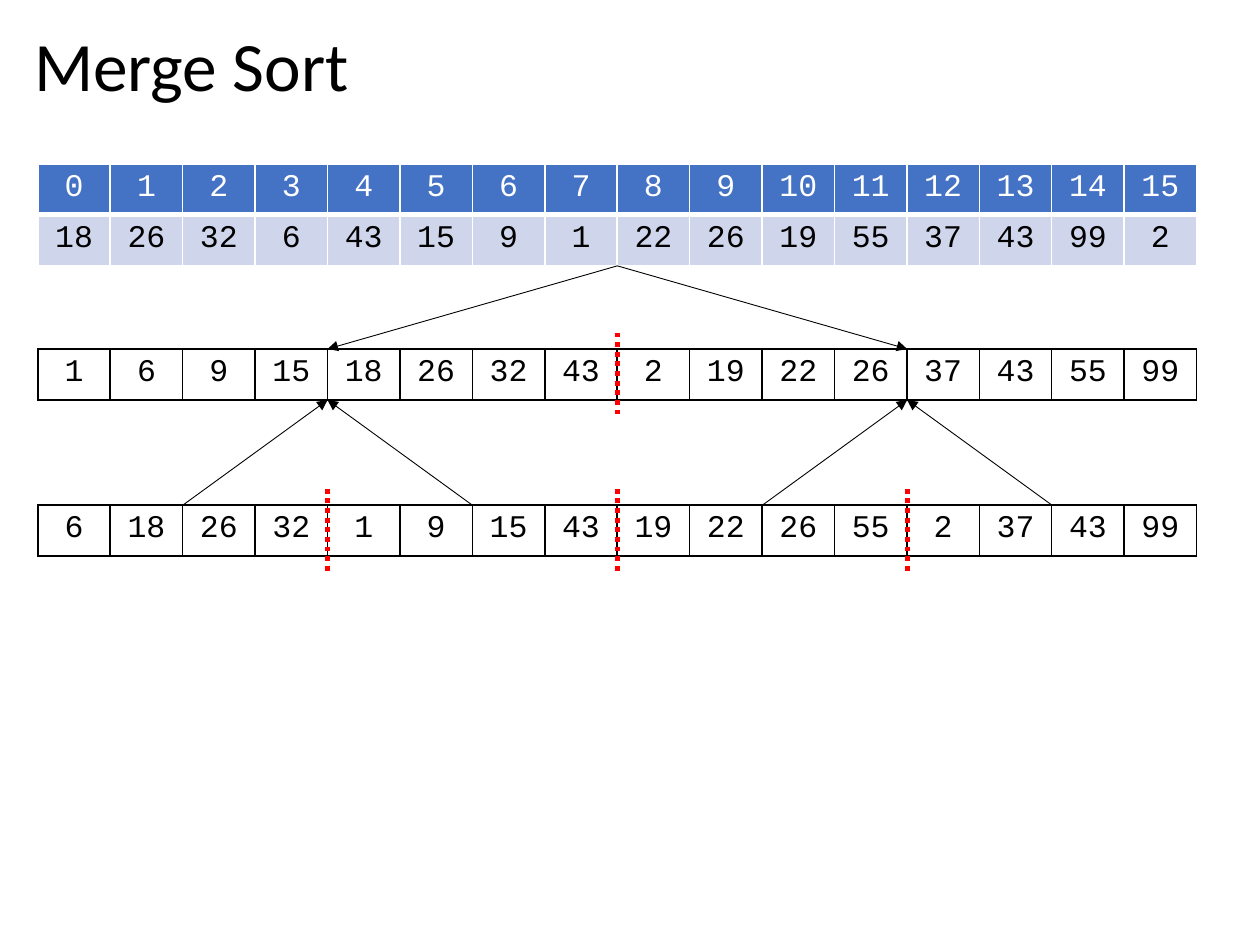
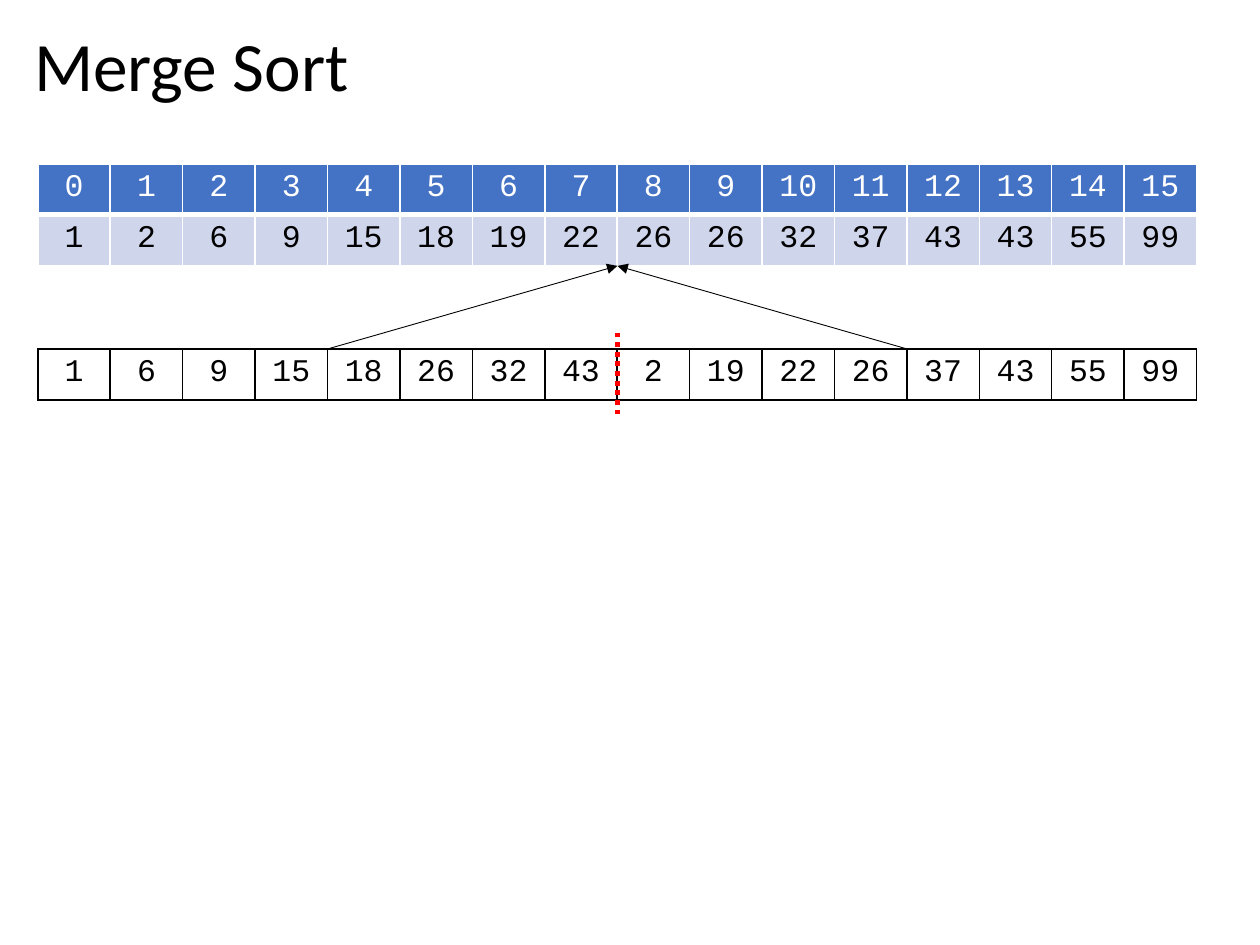
from dataclasses import dataclass

from pptx import Presentation
from pptx.dml.color import RGBColor
from pptx.enum.dml import MSO_LINE
from pptx.enum.shapes import MSO_CONNECTOR
from pptx.enum.text import MSO_ANCHOR, MSO_AUTO_SIZE, PP_ALIGN
from pptx.oxml.ns import qn
from pptx.util import Inches, Pt
from lxml import etree

STRAIGHT = MSO_CONNECTOR.STRAIGHT
DOTTED = MSO_LINE.ROUND_DOT
CENTER, LEFT = PP_ALIGN.CENTER, PP_ALIGN.LEFT
MIDDLE = MSO_ANCHOR.MIDDLE
NO_AUTOFIT = MSO_AUTO_SIZE.NONE
TITLE_ONLY = 5


@dataclass(frozen=True)
class Theme:
    black: str = "000000"
    white: str = "FFFFFF"
    header: str = "4472C4"
    band: str = "CFD5EA"
    split: str = "FF0000"
    title_font: str = "Calibri"
    cell_font: str = "Courier New"
    title_size: float = 39.6
    cell_size: float = 18
    arrow_width: float = 0.5
    split_width: float = 2.75


COLUMNS = 16
GRID_LEFT = 0.3
COL = 9.2 / COLUMNS
ROW = 0.405
TOP = 1.3
LEVEL_TOPS = (2.77, 4.01)
OVERHANG = 0.13

UNSORTED = (18, 26, 32, 6, 43, 15, 9, 1, 22, 26, 19, 55, 37, 43, 99, 2)


def merge_runs(values, size):
    return [v for i in range(0, len(values), size)
            for v in sorted(values[i:i + size])]


class Deck:
    def __init__(self, prs, theme):
        self.prs, self.theme, self.s = prs, theme, None

    def x(self, col):
        return Inches(GRID_LEFT + col * COL)

    def slide(self, title):
        t = self.theme
        self.s = self.prs.slides.add_slide(self.prs.slide_layouts[TITLE_ONLY])
        sp = self.s.shapes.title
        sp.left, sp.top = Inches(0.17), Inches(0.18)
        sp.width, sp.height = Inches(9.62), Inches(0.74)
        tf = sp.text_frame
        tf.text = title
        tf.auto_size, tf.vertical_anchor = NO_AUTOFIT, MIDDLE
        p = tf.paragraphs[0]
        p.alignment, p.line_spacing = LEFT, 0.9
        self.font(p, t.title_font, t.title_size, t.black)

    def font(self, p, name, size, color):
        for r in p.runs:
            r.font.name, r.font.size = name, Pt(size)
            r.font.color.rgb = RGBColor.from_string(color)

    def borders(self, cell, color, bottom):
        tcPr = cell._tc.get_or_add_tcPr()
        for side in "LRTB":
            width = Pt(bottom if side == "B" else 1)
            ln = etree.SubElement(tcPr, qn(f"a:ln{side}"), w=str(width))
            fill = etree.SubElement(ln, qn("a:solidFill"))
            etree.SubElement(fill, qn("a:srgbClr"), val=color)

    def cell(self, cell, value, color, fill, border, bottom=1):
        cell.text = str(value)
        p = cell.text_frame.paragraphs[0]
        p.alignment = CENTER
        self.font(p, self.theme.cell_font, self.theme.cell_size, color)
        self.borders(cell, border, bottom)
        if fill:
            cell.fill.solid()
            cell.fill.fore_color.rgb = RGBColor.from_string(fill)
        else:
            cell.fill.background()

    def table(self, top, rows, styles):
        tbl = self.s.shapes.add_table(
            len(rows), COLUMNS, self.x(0), Inches(top),
            Inches(COL * COLUMNS), Inches(ROW * len(rows))).table
        tbl.first_row = tbl.horz_banding = False
        for i, (values, style) in enumerate(zip(rows, styles)):
            for j, value in enumerate(values):
                self.cell(tbl.cell(i, j), value, *style)

    def indexed_array(self, values):
        t = self.theme
        self.table(TOP, (range(COLUMNS), values),
                   ((t.white, t.header, t.white, 3),
                    (t.black, t.band, t.white)))

    def line(self, start, end, color, width):
        (c1, y1), (c2, y2) = start, end
        cx = self.s.shapes.add_connector(
            STRAIGHT, self.x(c1), Inches(y1), self.x(c2), Inches(y2))
        cx.line.color.rgb = RGBColor.from_string(color)
        cx.line.width = Pt(width)
        etree.SubElement(cx._element.spPr, qn("a:effectLst"))
        return cx.line

    def level(self, top, values, splits):
        t = self.theme
        self.table(top, (values,), ((t.black, None, t.black),))
        for col in splits:
            line = self.line((col, top - OVERHANG),
                             (col, top + ROW + OVERHANG),
                             t.split, t.split_width)
            line.dash_style = DOTTED

    def branches(self, parent, bottom, children, top, arrow_end):
        t = self.theme
        for child in children:
            line = self.line((parent, bottom), (child, top),
                             t.black, t.arrow_width)
            etree.SubElement(line._get_or_add_ln(), qn(f"a:{arrow_end}"),
                             type="triangle")


def main():
    prs = Presentation()
    prs.slide_width, prs.slide_height = Inches(10), Inches(7.5)
    deck = Deck(prs, Theme())
    halves, quarters = merge_runs(UNSORTED, 8), merge_runs(UNSORTED, 4)
    half_top, quarter_top = LEVEL_TOPS
    array_bottom = TOP + 2 * ROW

    deck.slide("Merge Sort")
    deck.indexed_array(UNSORTED)
    deck.level(half_top, halves, (8,))
    deck.branches(8, array_bottom, (4, 12), half_top, "tailEnd")
    deck.level(quarter_top, quarters, (8, 4, 12))
    for parent in (4, 12):
        deck.branches(parent, half_top + ROW, (parent - 2, parent + 2),
                      quarter_top, "headEnd")

    deck.slide("Merge Sort")
    deck.indexed_array(sorted(UNSORTED))
    deck.level(half_top, halves, (8,))
    deck.branches(8, array_bottom, (4, 12), half_top, "headEnd")

    prs.save("out.pptx")


if __name__ == "__main__":
    main()
